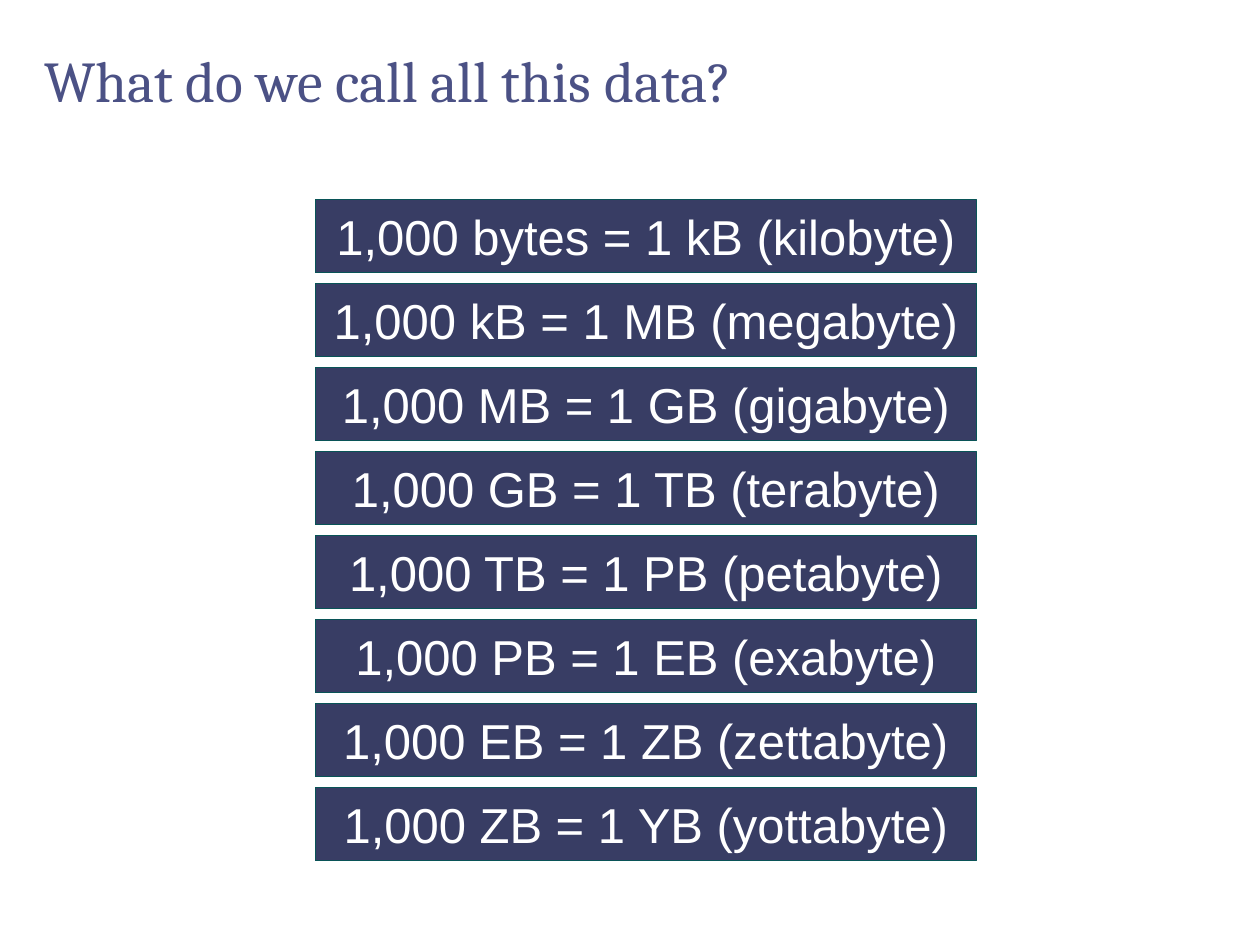
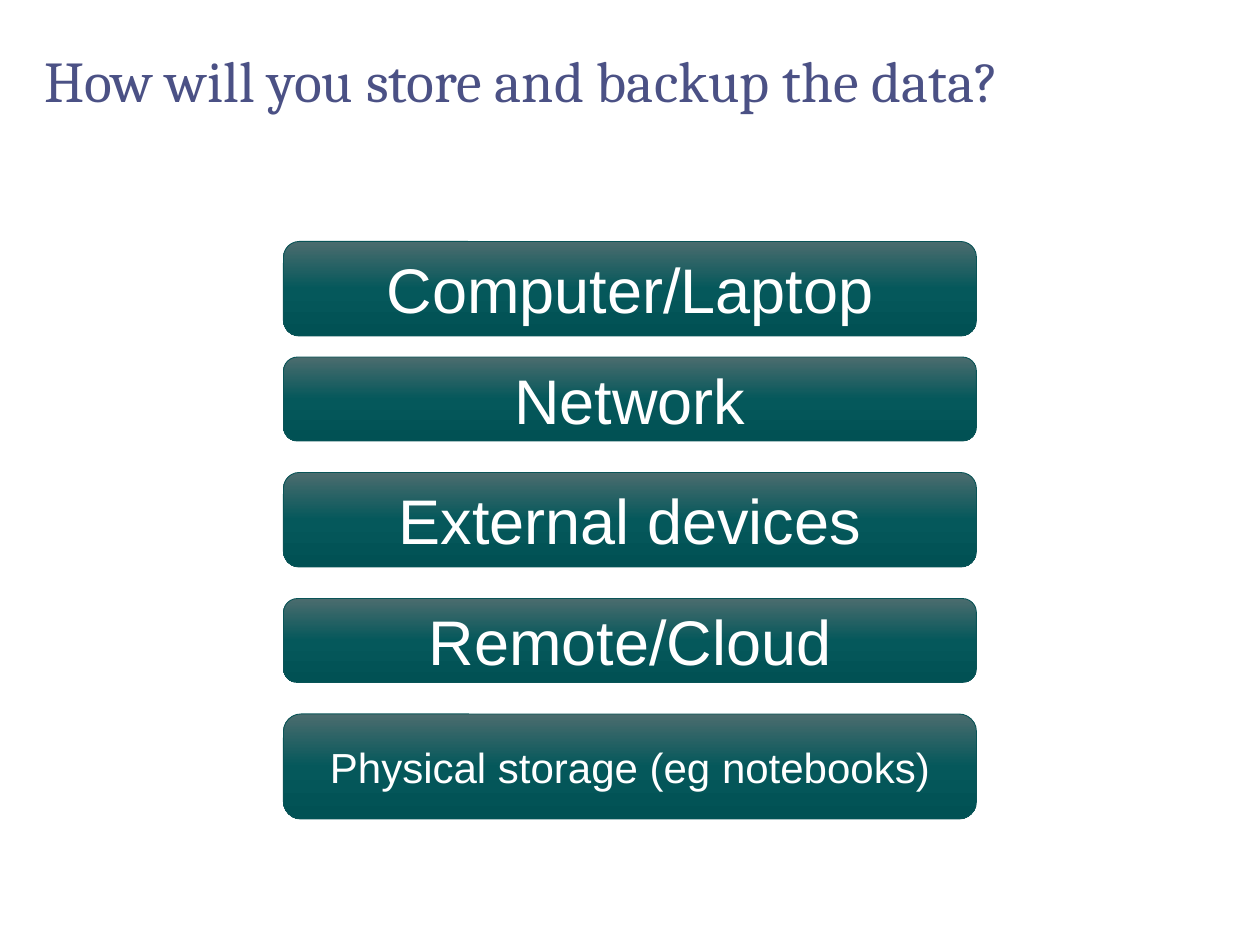
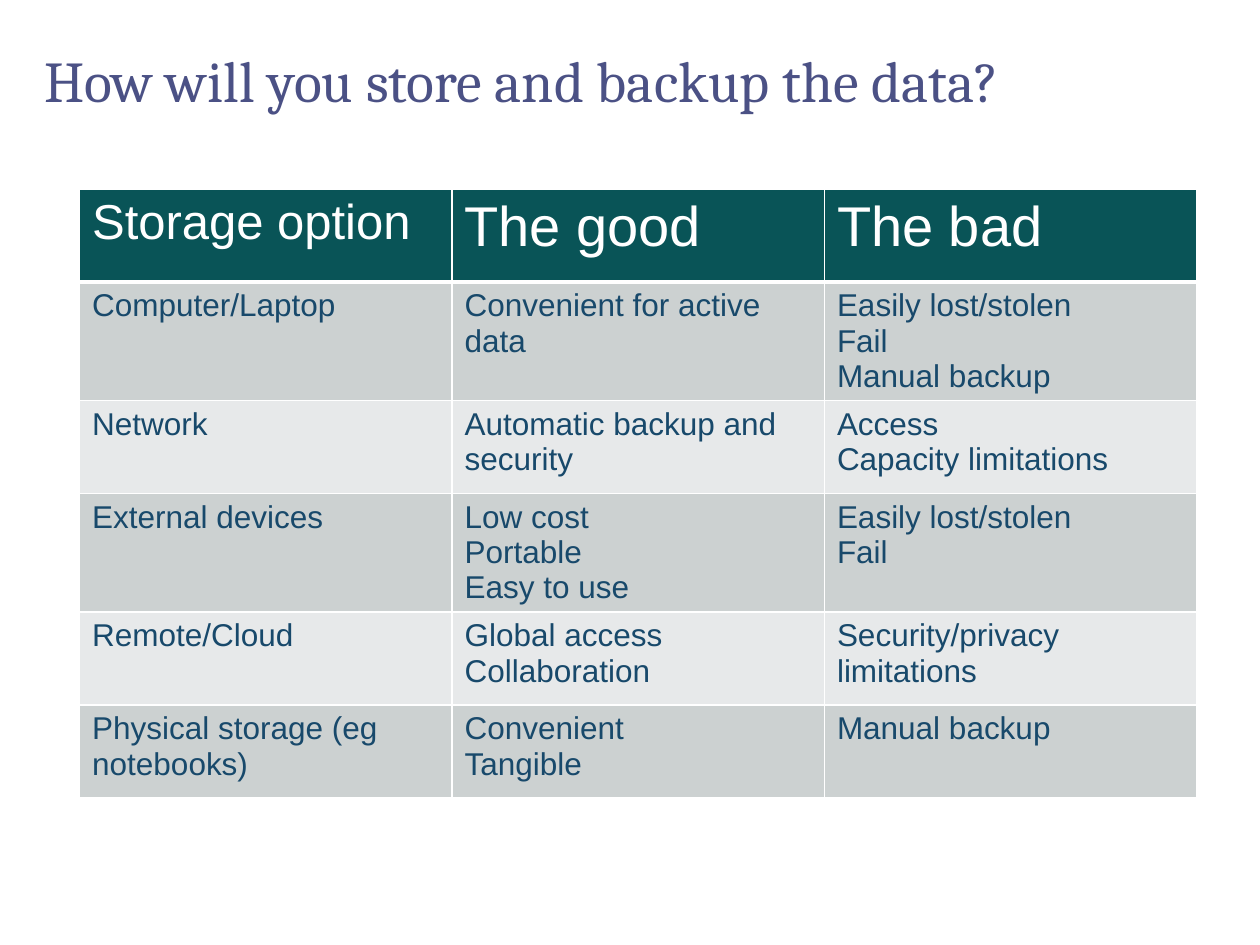
from copy import deepcopy
from dataclasses import dataclass

from lxml import etree
from pptx import Presentation
from pptx.dml.color import RGBColor
from pptx.enum.shapes import MSO_SHAPE
from pptx.enum.text import MSO_ANCHOR, MSO_AUTO_SIZE, PP_ALIGN
from pptx.oxml.ns import qn
from pptx.presentation import Presentation as Deck
from pptx.shapes.autoshape import Shape
from pptx.slide import Slide
from pptx.table import _Cell as Cell
from pptx.text.text import TextFrame
from pptx.util import Pt

RECTANGLE = MSO_SHAPE.RECTANGLE
ROUNDED = MSO_SHAPE.ROUNDED_RECTANGLE
MIDDLE = MSO_ANCHOR.MIDDLE
LEFT = PP_ALIGN.LEFT
CENTER = PP_ALIGN.CENTER
NO_AUTOFIT = MSO_AUTO_SIZE.NONE

COLORS = {
    "title": "4B5185",
    "white": "FFFFFF",
    "navy": "383D64",
    "teal": "095457",
    "gradient_top": "4B6C6E",
    "gradient_middle": "05585B",
    "gradient_bottom": "015154",
    "cell_text": "18496B",
    "odd_row": "CCD1D1",
    "even_row": "E7E9EA",
}
GRADIENT = [(0, "gradient_top"), (0.5, "gradient_middle"), (1, "gradient_bottom")]
TITLE_FONT = "Cambria"
BODY_FONT = "Arial"
STORAGE_TITLE = "How will you store and backup the data?"

UNITS = [
    ("bytes", "kB", "kilobyte"),
    ("kB", "MB", "megabyte"),
    ("MB", "GB", "gigabyte"),
    ("GB", "TB", "terabyte"),
    ("TB", "PB", "petabyte"),
    ("PB", "EB", "exabyte"),
    ("EB", "ZB", "zettabyte"),
    ("ZB", "YB", "yottabyte"),
]
UNIT_TOP = 114
UNIT_PITCH = 48


@dataclass(frozen=True)
class Bar:
    text: str
    left: float
    top: float
    width: float
    height: float
    size: float


@dataclass(frozen=True)
class Heading:
    text: str
    size: float


@dataclass(frozen=True)
class StorageOption:
    name: str
    good: str
    bad: str


STORAGE_BARS = [
    Bar("Computer/Laptop", 162, 138, 396, 54, 36),
    Bar("Network", 162, 204, 396, 48, 36),
    Bar("External devices", 162, 270, 396, 54, 36),
    Bar("Remote/Cloud", 162, 342, 396, 48, 36),
    Bar("Physical storage (eg notebooks)", 162, 408, 396, 60, 24),
]
HEADINGS = [Heading("Storage option", 28), Heading("The good", 32), Heading("The bad", 32)]
OPTIONS = [
    StorageOption("Computer/Laptop", "Convenient for active data",
                  "Easily lost/stolen\nFail\nManual backup"),
    StorageOption("Network", "Automatic backup and security",
                  "Access\nCapacity limitations"),
    StorageOption("External devices", "Low cost\nPortable\nEasy to use",
                  "Easily lost/stolen\nFail"),
    StorageOption("Remote/Cloud", "Global access\nCollaboration",
                  "Security/privacy limitations"),
    StorageOption("Physical storage (eg notebooks)", "Convenient\nTangible",
                  "Manual backup"),
]


def rgb(name: str) -> RGBColor:
    return RGBColor.from_string(COLORS[name])


def write(frame: TextFrame, text: str, font: str, size: float, color: str,
          align: PP_ALIGN = LEFT) -> None:
    frame.text = text
    frame.word_wrap = True
    for para in frame.paragraphs:
        para.alignment = align
        for span in para.runs:
            span.font.name = font
            span.font.size = Pt(size)
            span.font.bold = False
            span.font.color.rgb = rgb(color)


def add_page(deck: Deck, text: str) -> Slide:
    page = deck.slides.add_slide(deck.slide_layouts[5])
    title = page.shapes.title
    title.left, title.top, title.width, title.height = Pt(18), Pt(12), Pt(685), Pt(72)
    frame = title.text_frame
    write(frame, text, TITLE_FONT, 33, "title")
    frame.auto_size = NO_AUTOFIT
    frame.vertical_anchor = MIDDLE
    frame.paragraphs[0].line_spacing = 0.9
    return page


def add_bar(page: Slide, bar: Bar, outline: MSO_SHAPE) -> Shape:
    box = page.shapes.add_shape(outline, Pt(bar.left), Pt(bar.top),
                                Pt(bar.width), Pt(bar.height))
    box.shadow.inherit = False
    box.fill.solid()
    box.fill.fore_color.rgb = rgb("navy")
    box.line.color.rgb = rgb("teal")
    box.line.width = Pt(0.5)
    write(box.text_frame, bar.text, BODY_FONT, bar.size, "white", CENTER)
    box.text_frame.vertical_anchor = MIDDLE
    return box


def shade(box: Shape) -> None:
    box.fill.gradient()
    box.fill.gradient_angle = 270
    stop_list = box.element.spPr.find(".//" + qn("a:gsLst"))
    stop_list.append(deepcopy(stop_list[0]))
    for stop, (position, color) in zip(box.fill.gradient_stops, GRADIENT):
        stop.position = position
        stop.color.rgb = rgb(color)


def add_borders(cell: Cell, bottom: float) -> None:
    properties = cell._tc.get_or_add_tcPr()
    widths = {"a:lnL": 1, "a:lnR": 1, "a:lnT": 1, "a:lnB": bottom}
    for index, (side, width) in enumerate(widths.items()):
        line = etree.Element(qn(side), w=str(Pt(width)))
        fill = etree.SubElement(line, qn("a:solidFill"))
        etree.SubElement(fill, qn("a:srgbClr"), val=COLORS["white"])
        properties.insert(index, line)


def fill_cell(cell: Cell, text: str, size: float, color: str, fill: str,
              bottom: float = 1) -> None:
    write(cell.text_frame, text, BODY_FONT, size, color)
    cell.fill.solid()
    cell.fill.fore_color.rgb = rgb(fill)
    add_borders(cell, bottom)


def add_units_page(deck: Deck) -> None:
    page = add_page(deck, "What do we call all this data?")
    for index, (small, large, name) in enumerate(UNITS):
        text = f"1,000 {small} = 1 {large} ({name})"
        add_bar(page, Bar(text, 180, UNIT_TOP + index * UNIT_PITCH, 378, 42, 28), RECTANGLE)


def add_storage_page(deck: Deck) -> None:
    page = add_page(deck, STORAGE_TITLE)
    for bar in STORAGE_BARS:
        shade(add_bar(page, bar, ROUNDED))


def add_comparison_page(deck: Deck) -> None:
    page = add_page(deck, STORAGE_TITLE)
    row_count = len(OPTIONS) + 1
    table = page.shapes.add_table(row_count, len(HEADINGS), Pt(45.5), Pt(108),
                                  Pt(638.4), Pt(53.2 * row_count)).table
    for column, heading in enumerate(HEADINGS):
        fill_cell(table.cell(0, column), heading.text, heading.size, "white", "teal", 3)
    for row, option in enumerate(OPTIONS, start=1):
        fill = "odd_row" if row % 2 else "even_row"
        for column, text in enumerate((option.name, option.good, option.bad)):
            fill_cell(table.cell(row, column), text, 18, "cell_text", fill)


def main() -> None:
    deck = Presentation()
    deck.slide_width, deck.slide_height = Pt(720), Pt(540)
    add_units_page(deck)
    add_storage_page(deck)
    add_comparison_page(deck)
    deck.save("out.pptx")


if __name__ == "__main__":
    main()
